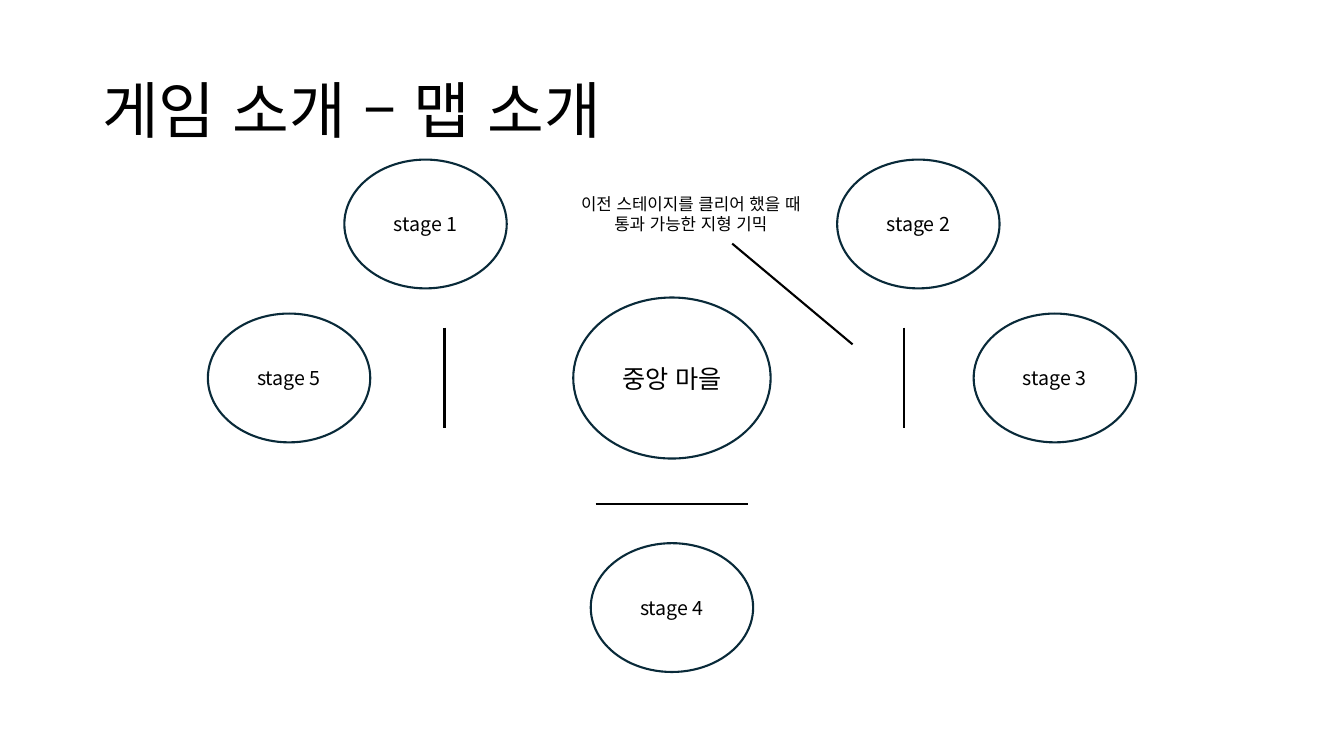
"""Build the game map slide: a central town, five stages and the gates between them."""
from lxml import etree
from pptx import Presentation
from pptx import util as u
from pptx.dml.color import RGBColor
from pptx.enum import lang, shapes, text
from pptx.oxml.ns import qn

BLACK = RGBColor(0x00, 0x00, 0x00)
WHITE = RGBColor(0xFF, 0xFF, 0xFF)
NAVY = RGBColor(0x09, 0x2A, 0x39)
FONT = "Noto Sans CJK KR"

TOWN_SIZE = (141, 115)
STAGE_SIZE = (116, 92)
STAGE_OFFSETS = [(-176, -110), (176, -110), (273.5, 0), (0, 164), (-273.5, 0)]
GATES = [
    ((-162.5, -36), (-162.5, 36)),
    ((166, -36), (166, 36)),
    ((-54.5, 90), (54.5, 90)),
]
POINTER = ((43, -96), (129, -24))


def write_text(shape, words, size, align=text.PP_ALIGN.CENTER,
               anchor=text.MSO_ANCHOR.MIDDLE, spacing=None):
    frame = shape.text_frame
    frame.word_wrap = True
    frame.vertical_anchor = anchor
    para = frame.paragraphs[0]
    para.alignment = align
    para.line_spacing = spacing
    span = para.add_run()
    span.text = words
    span.font.size = u.Pt(size)
    span.font.name = FONT
    span.font.color.rgb = BLACK
    span.font.language_id = lang.MSO_LANGUAGE_ID.KOREAN
    latin = span.font._element.find(qn("a:latin"))
    east_asian = etree.Element(qn("a:ea"), typeface=FONT)
    latin.addnext(east_asian)


def add_text(page, words, box, **style):
    label = page.shapes.add_textbox(*map(u.Pt, box))
    write_text(label, words, **style)


def add_place(page, words, center, extent, size):
    (x, y), (width, height) = center, extent
    box = (x - width / 2, y - height / 2, width, height)
    place = page.shapes.add_shape(shapes.MSO_SHAPE.OVAL, *map(u.Pt, box))
    place.shadow.inherit = False
    place.fill.solid()
    place.fill.fore_color.rgb = WHITE
    place.line.color.rgb = NAVY
    place.line.width = u.Pt(1.5)
    write_text(place, words, size)


def add_line(page, start, end):
    line = page.shapes.add_connector(
        shapes.MSO_CONNECTOR.STRAIGHT, *map(u.Pt, (*start, *end)))
    line.line.color.rgb = BLACK
    line.line.width = u.Pt(1.5)
    etree.SubElement(line._element.spPr, qn("a:effectLst"))


def add_title(page, box):
    add_text(page, "게임 소개 – 맵 소개", box, size=44,
             align=text.PP_ALIGN.LEFT, spacing=0.9)


def add_map(page, box):
    left, top, width, height = box

    def locate(offset):
        return left + width / 2 + offset[0], top + height / 2 + offset[1]

    add_place(page, "중앙 마을", locate((0, 0)), TOWN_SIZE, 18)
    for number, offset in enumerate(STAGE_OFFSETS, 1):
        add_place(page, f"stage {number}", locate(offset), STAGE_SIZE, 14)
    for start, end in [*GATES, POINTER]:
        add_line(page, locate(start), locate(end))
    add_text(page, "이전 스테이지를 클리어 했을 때 통과 가능한 지형 기믹",
             (*locate((-84, -135.4)), 195, 36), size=12,
             anchor=text.MSO_ANCHOR.TOP, spacing=u.Pt(14.4))


def main():
    deck = Presentation()
    deck.slide_width, deck.slide_height = u.Pt(960), u.Pt(540)
    page = deck.slides.add_slide(deck.slide_layouts[6])
    add_title(page, (66, 28.8, 828, 104.4))
    add_map(page, (0, 0, 960, 540))
    deck.save("out.pptx")


if __name__ == "__main__":
    main()
